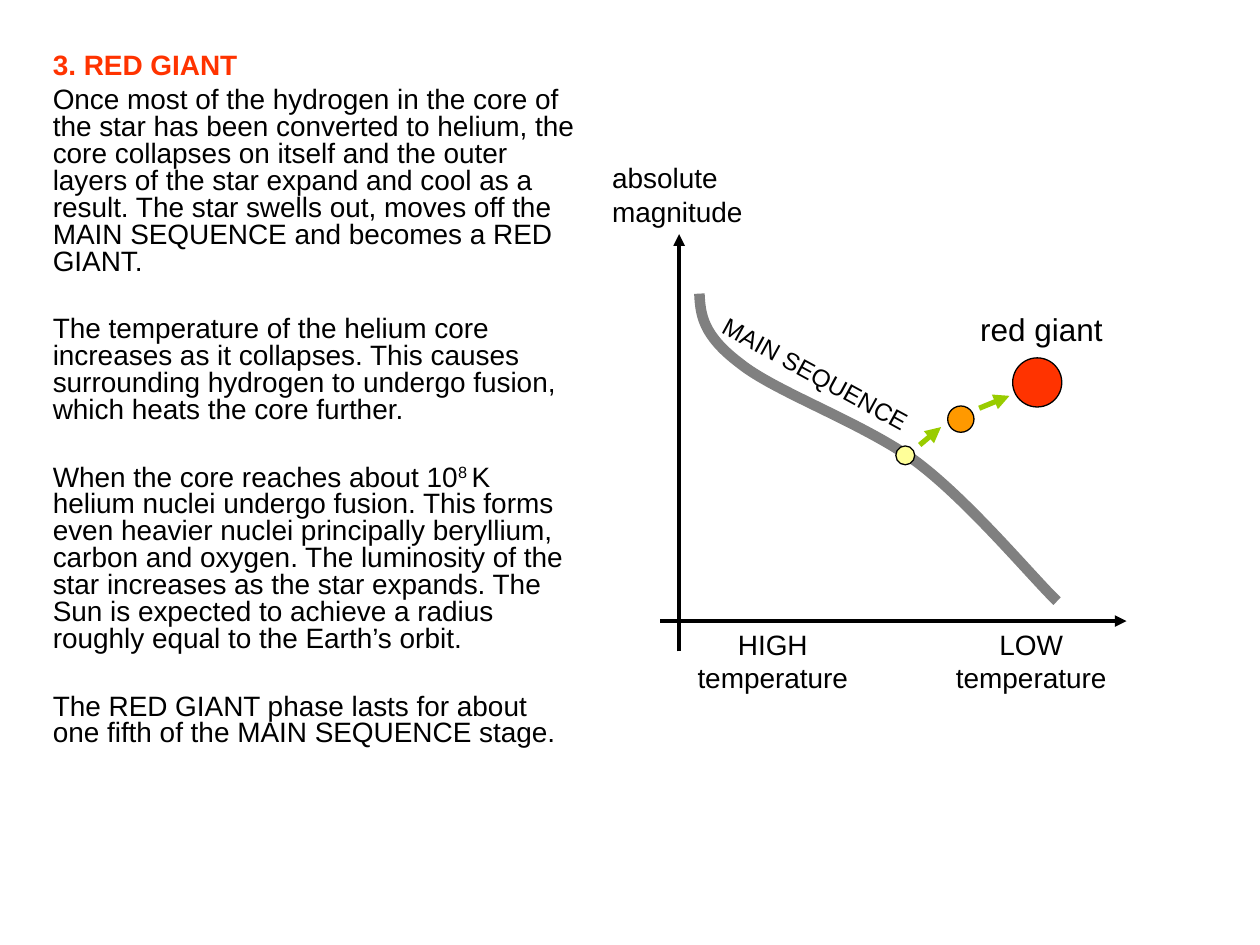
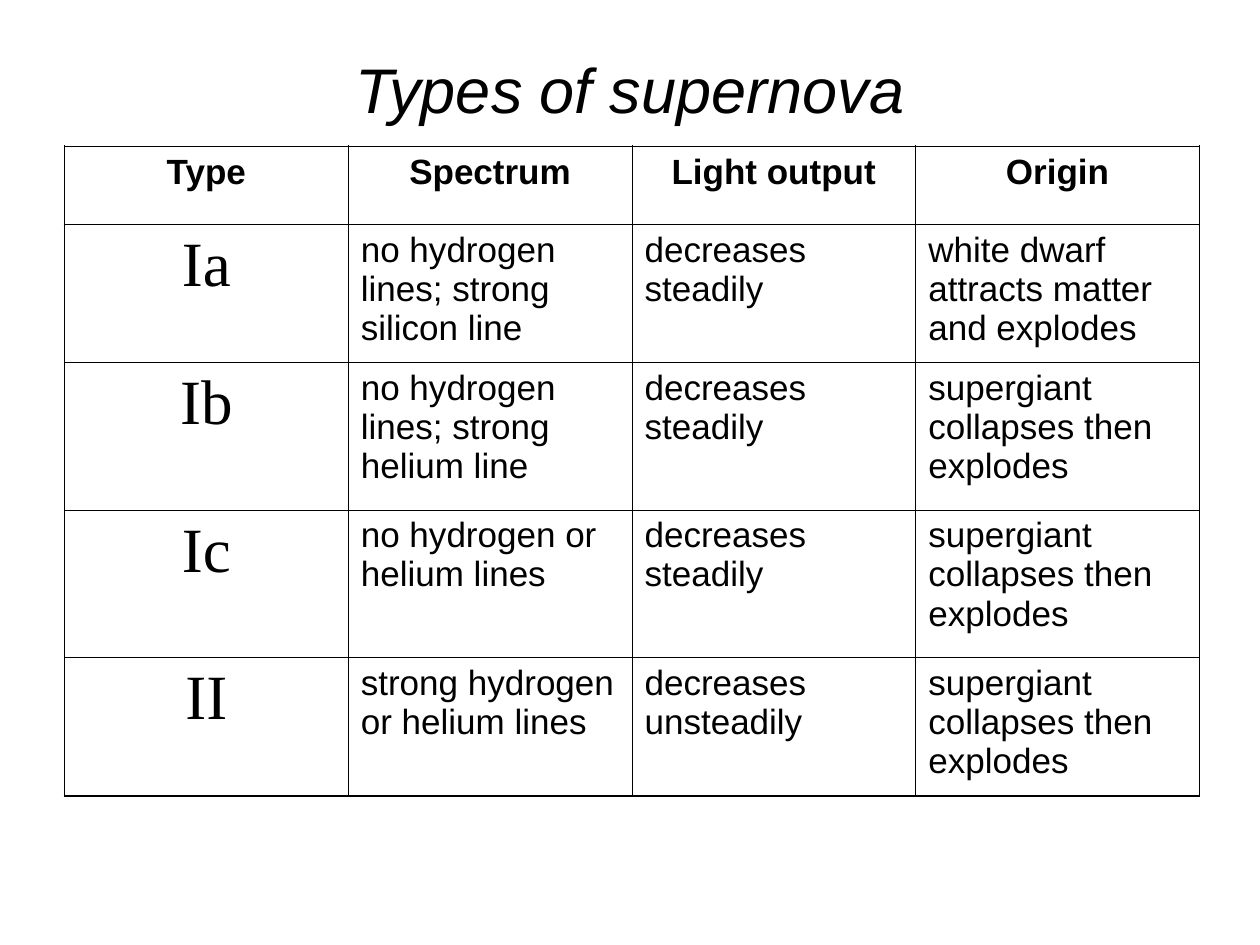
from typing import NamedTuple

from lxml import etree
from pptx import Presentation
from pptx.dml.color import RGBColor
from pptx.enum.shapes import MSO_CONNECTOR, MSO_SHAPE
from pptx.enum.text import MSO_ANCHOR, MSO_AUTO_SIZE, PP_ALIGN
from pptx.oxml.ns import qn
from pptx.util import Cm, Pt

STRAIGHT = MSO_CONNECTOR.STRAIGHT
OVAL = MSO_SHAPE.OVAL
MIDDLE, TOP = MSO_ANCHOR.MIDDLE, MSO_ANCHOR.TOP
FIXED, GROW = MSO_AUTO_SIZE.NONE, MSO_AUTO_SIZE.SHAPE_TO_FIT_TEXT
LEFT, CENTER = PP_ALIGN.LEFT, PP_ALIGN.CENTER

BLACK, GREY, RED = "000000", "808080", "FF3300"
ORANGE, YELLOW, GREEN = "FF9900", "FFFF99", "99CC00"
SANS, SERIF = "Arial", "Times New Roman"


class Area(NamedTuple):
    """Left, top, width and height in centimetres."""
    left: float
    top: float
    width: float
    height: float


class Span(NamedTuple):
    text: str
    size: float = 16
    color: str = BLACK
    font: str = SANS
    bold: bool = False
    italic: bool = False
    raised: bool = False


class Label(NamedTuple):
    text: str
    area: Area
    size: float = 16
    align: PP_ALIGN = LEFT
    angle: float = 0


class Arrow(NamedTuple):
    start: tuple[float, float]
    end: tuple[float, float]
    color: str
    weight: float


class Star(NamedTuple):
    center: tuple[float, float]
    diameter: float
    color: str


class Paragraph(NamedTuple):
    spans: list[Span]
    space_before: float


# Red giant slide
NEXT, APART = 4, 23.3  # space before a paragraph, in points
RED_GIANT_TEXT = [
    Paragraph([Span("3. RED GIANT", color=RED, bold=True)], 0),
    Paragraph([Span(
        "Once most of the hydrogen in the core of the star has been converted to "
        "helium, the core collapses on itself and the outer layers of the star "
        "expand and cool as a result. The star swells out, moves off the MAIN "
        "SEQUENCE and becomes a RED GIANT.")], NEXT),
    Paragraph([Span(
        "The temperature of the helium core increases as it collapses. This causes "
        "surrounding hydrogen to undergo fusion, which heats the core further.")], APART),
    Paragraph([
        Span("When the core reaches about 10"),
        Span("8 ", raised=True),
        Span("K helium nuclei undergo fusion. This forms even heavier nuclei "
             "principally beryllium, carbon and oxygen. The luminosity of the star "
             "increases as the star expands. The Sun is expected to achieve a radius "
             "roughly equal to the Earth’s orbit.")], APART),
    Paragraph([Span(
        "The RED GIANT phase lasts for about one fifth of the MAIN SEQUENCE stage.")], APART),
]
AXES = [
    Arrow((13.69, 13.13), (13.69, 4.72), BLACK, 2.25),
    Arrow((13.31, 12.52), (22.71, 12.52), BLACK, 2.25),
]
DIAGRAM_LABELS = [
    Label("absolute magnitude", Area(12.09, 3.12, 3.61, 1.63)),
    Label("HIGH temperature", Area(13.69, 12.52, 3.78, 1.63), align=CENTER),
    Label("MAIN SEQUENCE", Area(14.1, 7.14, 4.78, 0.86), size=14, angle=28.6),
    Label("LOW temperature", Area(18.9, 12.52, 3.78, 1.63), align=CENTER),
]
# A start point, then two control points and an end point for each bend
MAIN_SEQUENCE = [
    (14.1, 5.92),
    (14.12, 6.35), (14.17, 6.76), (14.91, 7.32),
    (15.62, 7.9), (17.42, 8.53), (18.49, 9.32),
    (19.56, 10.13), (20.83, 11.66), (21.31, 12.12),
]
SUN = Star((18.25, 9.18), 0.38, YELLOW)
SWELLING_STAGES = [
    (Arrow((18.54, 8.97), (18.97, 8.61), GREEN, 3), Star((19.37, 8.45), 0.53, ORANGE)),
    (Arrow((19.74, 8.23), (20.35, 7.98), GREEN, 3), Star((20.91, 7.71), 0.99, RED)),
]
RED_GIANT_LABEL = Label("red giant", Area(19.51, 6.12, 3.18, 1.02), size=18)

# Supernova slide
SUPERNOVA_ROWS = [
    ("Type", "Spectrum", "Light output", "Origin"),
    ("Ia", "no hydrogen lines; strong silicon line", "decreases steadily",
     "white dwarf attracts matter and explodes"),
    ("Ib", "no hydrogen lines; strong helium line", "decreases steadily",
     "supergiant collapses then explodes"),
    ("Ic", "no hydrogen or helium lines", "decreases steadily",
     "supergiant collapses then explodes"),
    ("II", "strong hydrogen or helium lines", "decreases unsteadily",
     "supergiant collapses then explodes"),
]
ROW_HEIGHTS = [1.57, 2.79, 2.97, 2.97, 2.79]
COLUMN_WIDTH = 5.72
OUTER_BORDER, INNER_BORDER = 1.08, 0.45


def rgb(color: str) -> RGBColor:
    return RGBColor.from_string(color)


def place(shape, area: Area) -> None:
    shape.left, shape.top, shape.width, shape.height = map(Cm, area)


def add_span(para, span: Span) -> None:
    run = para.add_run()
    run.text = span.text
    font = run.font
    font.name, font.size = span.font, Pt(span.size)
    font.bold, font.italic = span.bold, span.italic
    font.color.rgb = rgb(span.color)
    if span.raised:
        font._element.set("baseline", "30000")


def add_label(shapes, label: Label) -> None:
    box = shapes.add_textbox(*map(Cm, label.area))
    box.rotation = label.angle
    frame = box.text_frame
    frame.word_wrap, frame.auto_size = True, GROW
    para = frame.paragraphs[0]
    para.alignment = label.align
    add_span(para, Span(label.text, label.size))


def add_arrow(shapes, arrow: Arrow) -> None:
    line = shapes.add_connector(STRAIGHT, *map(Cm, arrow.start + arrow.end))
    line.line.color.rgb = rgb(arrow.color)
    line.line.width = Pt(arrow.weight)
    etree.SubElement(line.line._get_or_add_ln(), qn("a:tailEnd"), type="triangle")
    etree.SubElement(line._element.spPr, qn("a:effectLst"))


def add_star(shapes, star: Star) -> None:
    left, top = (middle - star.diameter / 2 for middle in star.center)
    disc = shapes.add_shape(OVAL, Cm(left), Cm(top), Cm(star.diameter), Cm(star.diameter))
    disc.shadow.inherit = False
    disc.fill.solid()
    disc.fill.fore_color.rgb = rgb(star.color)
    disc.line.color.rgb = rgb(BLACK)
    disc.line.width = Pt(0.75)


def add_curve(shapes, points: list[tuple[float, float]], color: str, weight: float) -> None:
    start, *rest = [(Cm(x), Cm(y)) for x, y in points]
    builder = shapes.build_freeform(*start)
    builder.add_line_segments(rest, close=False)
    curve = builder.convert_to_shape()
    curve.shadow.inherit = False
    curve.fill.background()
    curve.line.color.rgb = rgb(color)
    curve.line.width = Pt(weight)
    # Join every three straight segments into one Bézier bend
    outline = next(curve._element.iter(qn("a:path")))
    segments = outline.findall(qn("a:lnTo"))
    for first in range(0, len(segments), 3):
        bend = etree.SubElement(outline, qn("a:cubicBezTo"))
        for segment in segments[first:first + 3]:
            bend.append(segment[0])
            outline.remove(segment)


def set_borders(cell, row: int, column: int) -> None:
    last_row, last_column = len(SUPERNOVA_ROWS) - 1, len(SUPERNOVA_ROWS[0]) - 1
    is_outer = {"lnL": column == 0, "lnR": column == last_column,
                "lnT": row == 0, "lnB": row == last_row}
    properties = cell._tc.get_or_add_tcPr()
    for side, outer in is_outer.items():
        width = Pt(OUTER_BORDER if outer else INNER_BORDER)
        border = etree.SubElement(properties, qn(f"a:{side}"), w=str(width))
        fill = etree.SubElement(border, qn("a:solidFill"))
        etree.SubElement(fill, qn("a:srgbClr"), val=BLACK)


def cell_span(text: str, row: int, column: int) -> Span:
    if row == 0:
        return Span(text, 20, bold=True)
    if column == 0:
        return Span(text, 36, font=SERIF)
    return Span(text, 20)


def add_supernova_table(slide) -> None:
    column_count = len(SUPERNOVA_ROWS[0])
    area = Area(1.3, 2.95, column_count * COLUMN_WIDTH, sum(ROW_HEIGHTS))
    table = slide.shapes.add_table(len(SUPERNOVA_ROWS), column_count, *map(Cm, area)).table
    table.first_row = table.horz_banding = False
    for column in table.columns:
        column.width = Cm(COLUMN_WIDTH)
    for row, texts in enumerate(SUPERNOVA_ROWS):
        table.rows[row].height = Cm(ROW_HEIGHTS[row])
        for column, text in enumerate(texts):
            cell = table.cell(row, column)
            set_borders(cell, row, column)
            cell.fill.background()
            cell.vertical_anchor = TOP
            para = cell.text_frame.paragraphs[0]
            para.alignment = CENTER if row == 0 or column == 0 else LEFT
            add_span(para, cell_span(text, row, column))


def fill_body(body) -> None:
    place(body, Area(0.81, 0.97, 11.1, 15.47))
    frame = body.text_frame
    frame.auto_size = FIXED
    for index, paragraph in enumerate(RED_GIANT_TEXT):
        para = frame.add_paragraph() if index else frame.paragraphs[0]
        properties = para._p.get_or_add_pPr()
        properties.set("marL", "0")
        properties.set("indent", "0")
        etree.SubElement(properties, qn("a:buNone"))
        para.line_spacing = 0.8
        para.space_before = Pt(paragraph.space_before)
        for span in paragraph.spans:
            add_span(para, span)


def build_red_giant_slide(deck) -> None:
    slide = deck.slides.add_slide(deck.slide_layouts.get_by_name("Title and Content"))
    title = slide.shapes.title
    title._element.getparent().remove(title._element)
    fill_body(slide.placeholders[1])

    # Axes, labels and the main sequence
    diagram = slide.shapes.add_group_shape().shapes
    for axis in AXES:
        add_arrow(diagram, axis)
    add_curve(diagram, MAIN_SEQUENCE, GREY, 6)
    for label in DIAGRAM_LABELS:
        add_label(diagram, label)

    # The star leaving the main sequence
    add_star(slide.shapes, SUN)
    for arrow, star in SWELLING_STAGES:
        stage = slide.shapes.add_group_shape().shapes
        add_arrow(stage, arrow)
        add_star(stage, star)
    add_label(stage, RED_GIANT_LABEL)


def build_supernova_slide(deck) -> None:
    slide = deck.slides.add_slide(deck.slide_layouts.get_by_name("Title Only"))
    title = slide.shapes.title
    place(title, Area(1.27, 0.76, 22.86, 2.03))
    frame = title.text_frame
    frame.auto_size, frame.vertical_anchor = FIXED, MIDDLE
    para = frame.paragraphs[0]
    para.alignment = CENTER
    add_span(para, Span("Types of supernova", 36, italic=True))
    add_supernova_table(slide)


def main() -> None:
    deck = Presentation()
    deck.slide_width, deck.slide_height = Cm(25.4), Cm(19.05)
    build_red_giant_slide(deck)
    build_supernova_slide(deck)
    deck.save("out.pptx")


if __name__ == "__main__":
    main()
